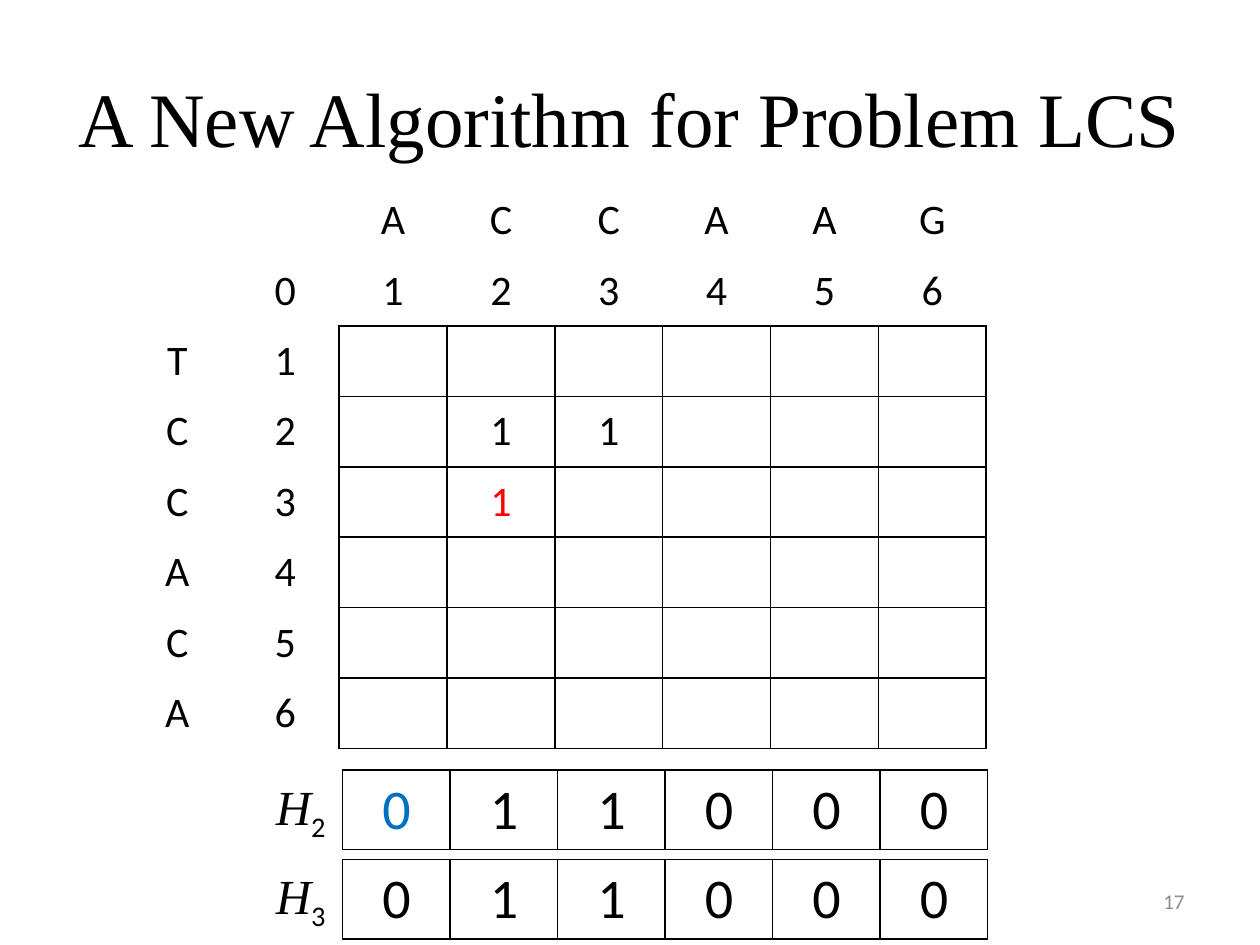
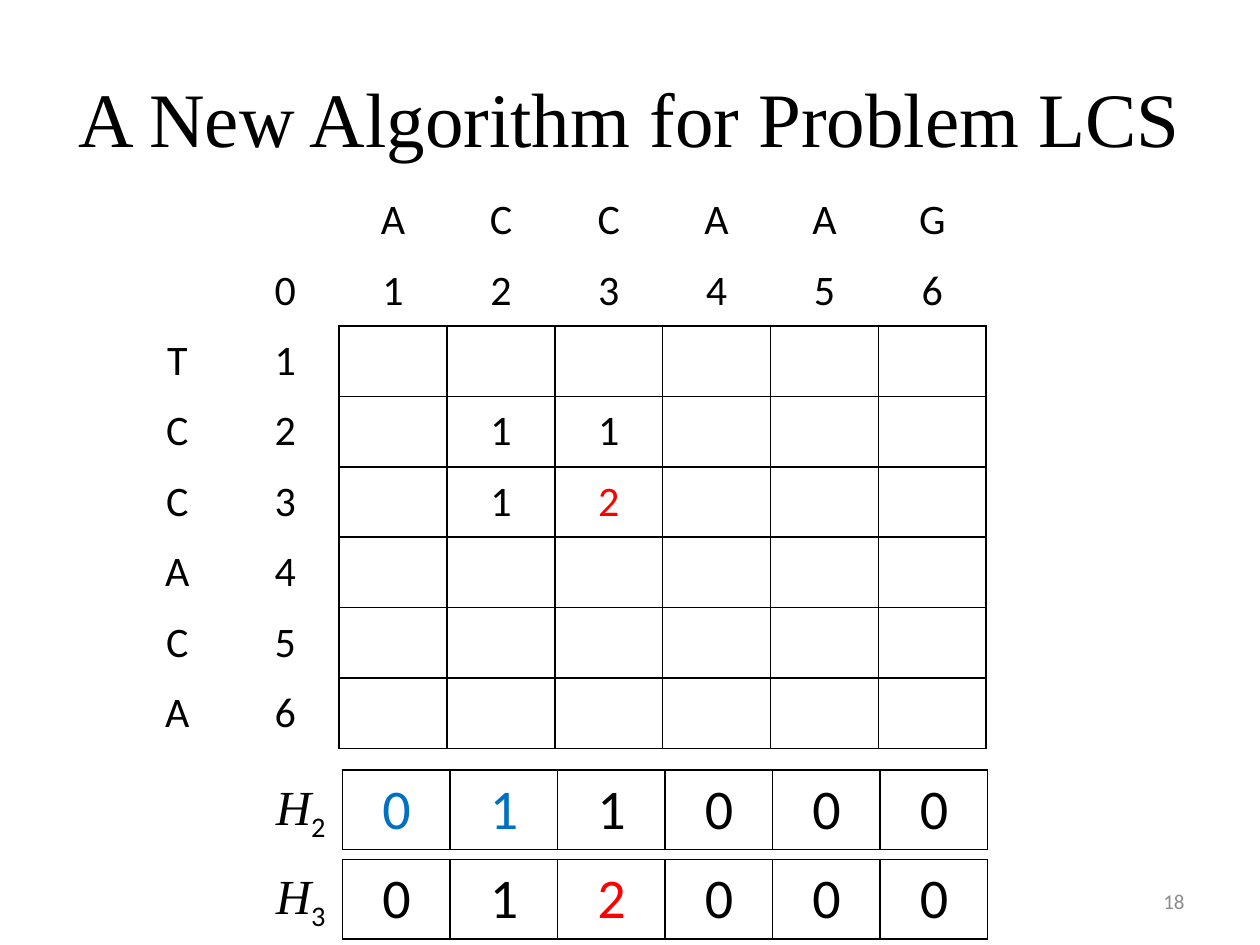
from pptx import Presentation
from pptx.dml.color import RGBColor
from pptx.enum import text as t
from pptx.oxml.ns import qn
from pptx.util import Inches, Pt
from lxml import etree

# Content
TITLE = "A New Algorithm for Problem LCS"
ACROSS, DOWN = "ACCAAG", "TCCACA"
BLACK, WHITE, GRAY = "000000", "FFFFFF", "8C8C8C"
RED, BLUE = "FF0000", "0070C0"
SANS, SERIF = "Calibri", "Times New Roman"

# marks: (row, column) -> value; hues: color of single entries
STEPS = [
    {"page": 17,
     "marks": {(2, 2): 1, (2, 3): 1, (3, 2): 1}, "hues": {(3, 2): RED},
     "rows": [(2, "011000", {0: BLUE}), (3, "011000", {})]},
    {"page": 18,
     "marks": {(2, 2): 1, (2, 3): 1, (3, 2): 1, (3, 3): 2},
     "hues": {(3, 3): RED},
     "rows": [(2, "011000", {0: BLUE, 1: BLUE}), (3, "012000", {2: RED})]},
]
ROW_TOP, ROW_STEP = 6.11, 0.71


def rgb(code):
    return RGBColor.from_string(code)


def style(run, size, face=SANS, hue=BLACK):
    run.font.size, run.font.name = Pt(size), face
    run.font.color.rgb = rgb(hue)


def edge(cell, sides):
    """Draw the listed sides of a cell and clear the others."""
    props = cell._tc.get_or_add_tcPr()
    for side in "LRTB":
        line = etree.SubElement(props, qn("a:ln" + side), w=str(Pt(1)))
        if side in sides:
            fill = etree.SubElement(line, qn("a:solidFill"))
            etree.SubElement(fill, qn("a:srgbClr"), val=BLACK)
        else:
            etree.SubElement(line, qn("a:noFill"))


def put(cell, value, size, hue, sides):
    edge(cell, sides)
    cell.fill.solid()
    cell.fill.fore_color.rgb = rgb(WHITE)
    cell.vertical_anchor = t.MSO_ANCHOR.MIDDLE
    if value != "":
        cell.text = str(value)
        para = cell.text_frame.paragraphs[0]
        para.alignment = t.PP_ALIGN.CENTER
        style(para.runs[0], size, hue=hue)


def grid(slide, rows, cols, left, top, width, height):
    table = slide.shapes.add_table(
        rows, cols, Inches(left), Inches(top),
        Inches(width), Inches(height)).table
    table.first_row = table.horz_banding = False
    return table


def box(slide, left, top, width, height):
    return slide.shapes.add_textbox(
        Inches(left), Inches(top), Inches(width), Inches(height)).text_frame


def add_title(slide):
    head = slide.shapes.title
    head.left, head.top = Inches(0.5), Inches(0.3)
    head.width, head.height = Inches(9), Inches(1.25)
    head.text_frame.text = TITLE
    head.text_frame.vertical_anchor = t.MSO_ANCHOR.MIDDLE
    para = head.text_frame.paragraphs[0]
    para.alignment = t.PP_ALIGN.CENTER
    style(para.runs[0], 44, SERIF)


def add_page(slide, page):
    frame = box(slide, 7.17, 6.95, 2.33, 0.4)
    frame.word_wrap = True
    frame.vertical_anchor = t.MSO_ANCHOR.MIDDLE
    frame.text = str(page)
    para = frame.paragraphs[0]
    para.alignment = t.PP_ALIGN.RIGHT
    style(para.runs[0], 12, hue=GRAY)


def add_matrix(slide, marks, hues):
    # Two header rows and columns: letters, then indices
    rows, cols = len(DOWN) + 2, len(ACROSS) + 2
    table = grid(slide, rows, cols, 0.98, 1.47, 6.85, 4.47)
    texts = {(0, 1): 0}
    for i, char in enumerate(ACROSS, 1):
        texts[-1, i], texts[0, i] = char, i
    for i, char in enumerate(DOWN, 1):
        texts[i, -1], texts[i, 0] = char, i
    texts[0, 0] = 0
    texts.update(marks)
    for r in range(-1, rows - 1):
        for c in range(-1, cols - 1):
            # Lines enclose the inner cells only
            rules = {"L": r > 0 and c > 0, "R": r > 0 and c >= 0,
                     "T": r > 0 and c > 0, "B": r >= 0 and c > 0}
            sides = [side for side, drawn in rules.items() if drawn]
            put(table.cell(r + 1, c + 1), texts.get((r, c), ""), 24,
                hues.get((r, c), BLACK), sides)


def add_row(slide, top, index, digits, hues):
    table = grid(slide, 1, len(digits), 2.72, top, 5.12, 0.63)
    for c, digit in enumerate(digits):
        put(table.cell(0, c), digit, 32, hues.get(c, BLACK), "LRTB")
    frame = box(slide, 2.09, top, 0.62, 0.57)
    frame.word_wrap = False
    para = frame.paragraphs[0]
    for part, face in (("H", SERIF), (str(index), SANS)):
        run = para.add_run()
        run.text = part
        style(run, 28, face)
    name, sub = para.runs
    name.font.italic = True
    sub.font._element.set("baseline", "-25000")


def main():
    deck = Presentation()
    deck.slide_width, deck.slide_height = Inches(10), Inches(7.5)
    for step in STEPS:
        slide = deck.slides.add_slide(deck.slide_layouts[5])
        add_title(slide)
        add_page(slide, step["page"])
        add_matrix(slide, step["marks"], step["hues"])
        for i, row in enumerate(step["rows"]):
            add_row(slide, ROW_TOP + i * ROW_STEP, *row)
    deck.save("out.pptx")


if __name__ == "__main__":
    main()
